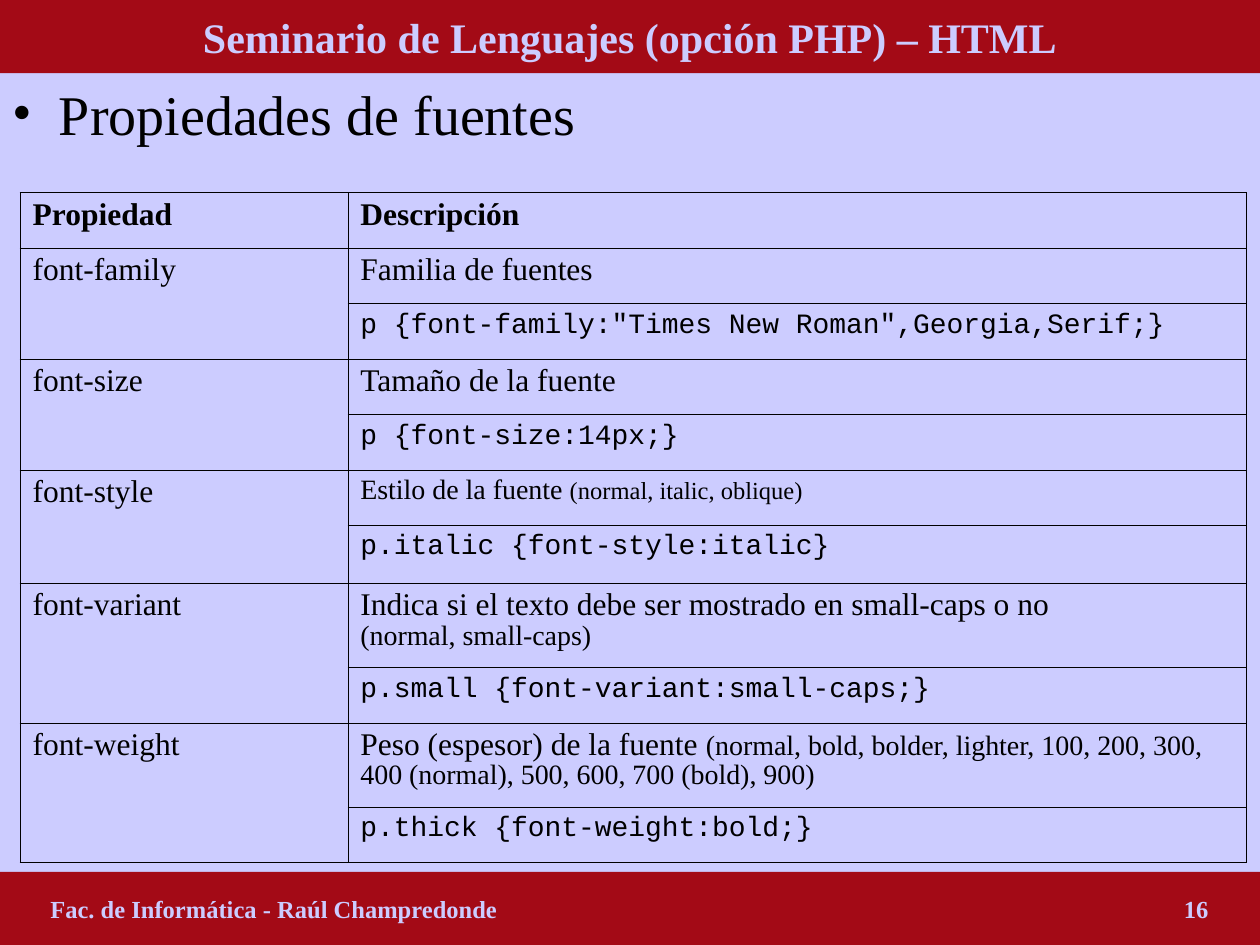
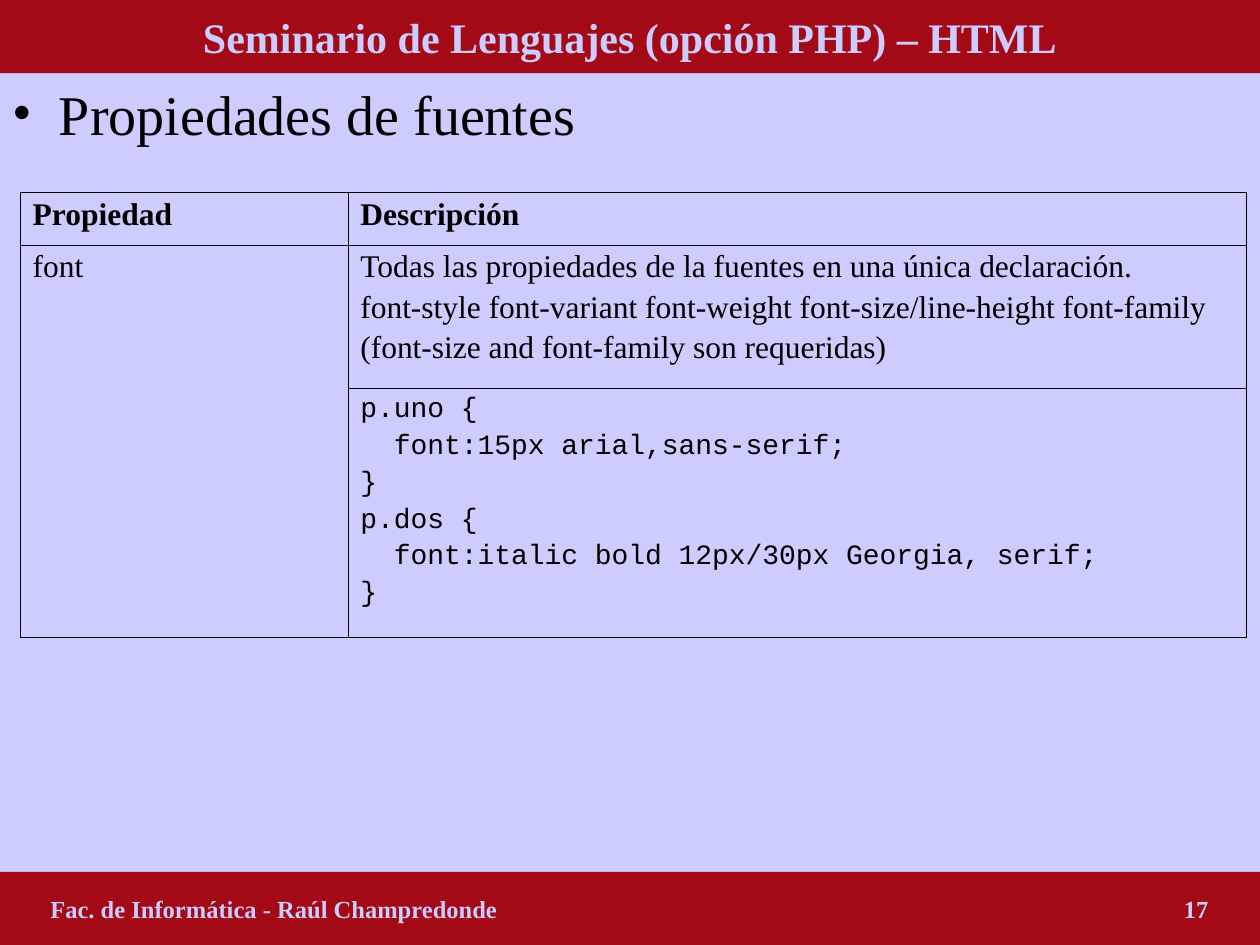
"""Build two slides about CSS font properties, each with a table of descriptions and examples."""
from lxml import etree
from pptx import Presentation
from pptx import util as u
from pptx.dml.color import RGBColor
from pptx.enum import shapes, text
from pptx.oxml.ns import qn

LAVENDER, CRIMSON, BLACK = "CCCCFF", "A30A16", "000000"
SERIF, MONO = "Times New Roman", "Courier New"

TITLE = {"name": SERIF, "size": u.Pt(24), "bold": True}
FOOTER = {"name": SERIF, "size": u.Pt(14), "bold": True}
HEADING = {"name": SERIF, "size": u.Pt(32)}
HEADER = {"name": SERIF, "size": u.Pt(18), "bold": True}
BODY = {"name": SERIF, "size": u.Pt(18), "bold": False}
MEDIUM = {"name": SERIF, "size": u.Pt(16), "bold": False}
SMALL = {"name": SERIF, "size": u.Pt(14), "bold": False}
CODE = {"name": MONO, "size": u.Pt(16), "bold": False}

SLIDES = [
    {
        "number": 16,
        "heights": [0.44] * 6 + [0.46, 0.67, 0.44, 0.67, 0.44],
        "properties": [
            ("font-family", [[("Familia de fuentes", BODY)]],
             ['p {font-family:"Times New Roman",Georgia,Serif;}']),
            ("font-size", [[("Tamaño de la fuente", BODY)]],
             ["p {font-size:14px;}"]),
            ("font-style", [[("Estilo de la fuente ", MEDIUM),
                             ("(normal, italic, oblique)", SMALL)]],
             ["p.italic {font-style:italic}"]),
            ("font-variant", [[("Indica si el texto debe ser mostrado en small-caps o no", BODY),
                               ("\n", BODY),
                               ("(normal, small-caps)", MEDIUM)]],
             ["p.small {font-variant:small-caps;}"]),
            ("font-weight", [[("Peso (espesor) de la fuente ", BODY),
                              ("(normal, bold, bolder, lighter, 100, 200, 300, "
                               "400 (normal), 500, 600, 700 (bold), 900)", MEDIUM)]],
             ["p.thick {font-weight:bold;}"]),
        ],
    },
    {
        "number": 17,
        "heights": [0.42, 1.13, 1.98],
        "properties": [
            ("font",
             [[("Todas las propiedades de la fuentes en una única declaración.", BODY)],
              [("font-style font-variant font-weight font-size/line-height font-family", BODY)],
              [("(font-size and font-family son requeridas)", BODY)]],
             ["p.uno {", "  font:15px arial,sans-serif;", "}",
              "p.dos {", "  font:italic bold 12px/30px Georgia, serif;", "}"]),
        ],
    },
]


def color(value):
    return RGBColor.from_string(value)


def write(paragraph, words, style, ink):
    if words == "\n":
        paragraph.add_line_break()
        return
    run = paragraph.add_run()
    run.text = words
    run.font.color.rgb = color(ink)
    for name, value in style.items():
        setattr(run.font, name, value)


presentation = Presentation()
presentation.slide_width, presentation.slide_height = u.Inches(10), u.Inches(7.5)

for content in SLIDES:
    slide = presentation.slides.add_slide(presentation.slide_layouts[6])
    slide.background.fill.solid()
    slide.background.fill.fore_color.rgb = color(LAVENDER)

    heading = slide.shapes.add_textbox(0, u.Inches(0.58), u.Inches(10), u.Inches(6.33))
    heading.text_frame.word_wrap = True
    paragraph = heading.text_frame.paragraphs[0]
    properties = paragraph._p.get_or_add_pPr()
    properties.set("marL", str(u.Inches(0.37)))
    properties.set("indent", str(-u.Inches(0.37)))
    etree.SubElement(properties, qn("a:buFont"), typeface=SERIF)
    etree.SubElement(properties, qn("a:buChar"), char="•")
    write(paragraph, "Propiedades de fuentes", HEADING, BLACK)

    bands = [
        (0, "Seminario de Lenguajes (opción PHP) – HTML", TITLE, text.PP_ALIGN.CENTER, 0.1),
        (6.92, f"Fac. de Informática - Raúl Champredonde\t{content['number']}",
         FOOTER, text.PP_ALIGN.LEFT, 0.4),
    ]
    for top, words, style, alignment, inset in bands:
        band = slide.shapes.add_shape(shapes.MSO_SHAPE.RECTANGLE, 0, u.Inches(top),
                                      u.Inches(10), u.Inches(0.58))
        band.shadow.inherit = False
        band.fill.solid()
        band.fill.fore_color.rgb = color(CRIMSON)
        band.line.fill.background()
        frame = band.text_frame
        frame.word_wrap = True
        frame.vertical_anchor = text.MSO_ANCHOR.MIDDLE
        frame.margin_left = u.Inches(inset)
        paragraph = frame.paragraphs[0]
        paragraph.alignment = alignment
        if "\t" in words:
            tabs = etree.SubElement(paragraph._p.get_or_add_pPr(), qn("a:tabLst"))
            etree.SubElement(tabs, qn("a:tab"), pos=str(u.Inches(9.19)), algn="r")
        write(paragraph, words, style, LAVENDER)

    heights = content["heights"]
    table = slide.shapes.add_table(len(heights), 2, u.Inches(0.16), u.Inches(1.53),
                                   u.Inches(9.73), u.Inches(sum(heights))).table
    table.first_row = table.horz_banding = False
    for column, width in zip(table.columns, (2.6, 7.13)):
        column.width = u.Inches(width)
    for row, height in zip(table.rows, heights):
        row.height = u.Inches(height)

    cells = [(0, 0, [[("Propiedad", HEADER)]]), (0, 1, [[("Descripción", HEADER)]])]
    for index, (name, description, code) in enumerate(content["properties"]):
        first = 1 + 2 * index
        table.cell(first, 0).merge(table.cell(first + 1, 0))
        cells += [(first, 0, [[(name, BODY)]]), (first, 1, description),
                  (first + 1, 1, [[(line, CODE)] for line in code])]

    for row, column, paragraphs in cells:
        frame = table.cell(row, column).text_frame
        for index, runs in enumerate(paragraphs):
            paragraph = frame.add_paragraph() if index else frame.paragraphs[0]
            is_code = runs[0][1] is CODE
            paragraph.line_spacing = 0.94 if is_code else 0.93
            if index:
                paragraph.space_before = u.Pt(4 if is_code else 4.5)
            for words, style in runs:
                write(paragraph, words, style, BLACK)

    last = len(heights) - 1
    for row in range(len(heights)):
        for column in range(2):
            cell = table.cell(row, column)
            outer = {"lnL": column == 0, "lnR": column == 1, "lnT": row == 0,
                     "lnB": row == last or (column == 0 and row == last - 1)}
            for side, is_outer in outer.items():
                line = etree.SubElement(cell._tc.get_or_add_tcPr(), qn(f"a:{side}"),
                                        w=str(u.Pt(0.5 if is_outer else 0.23)))
                fill = etree.SubElement(line, qn("a:solidFill"))
                etree.SubElement(fill, qn("a:srgbClr"), val=BLACK)
            cell.fill.background()

presentation.save("out.pptx")
